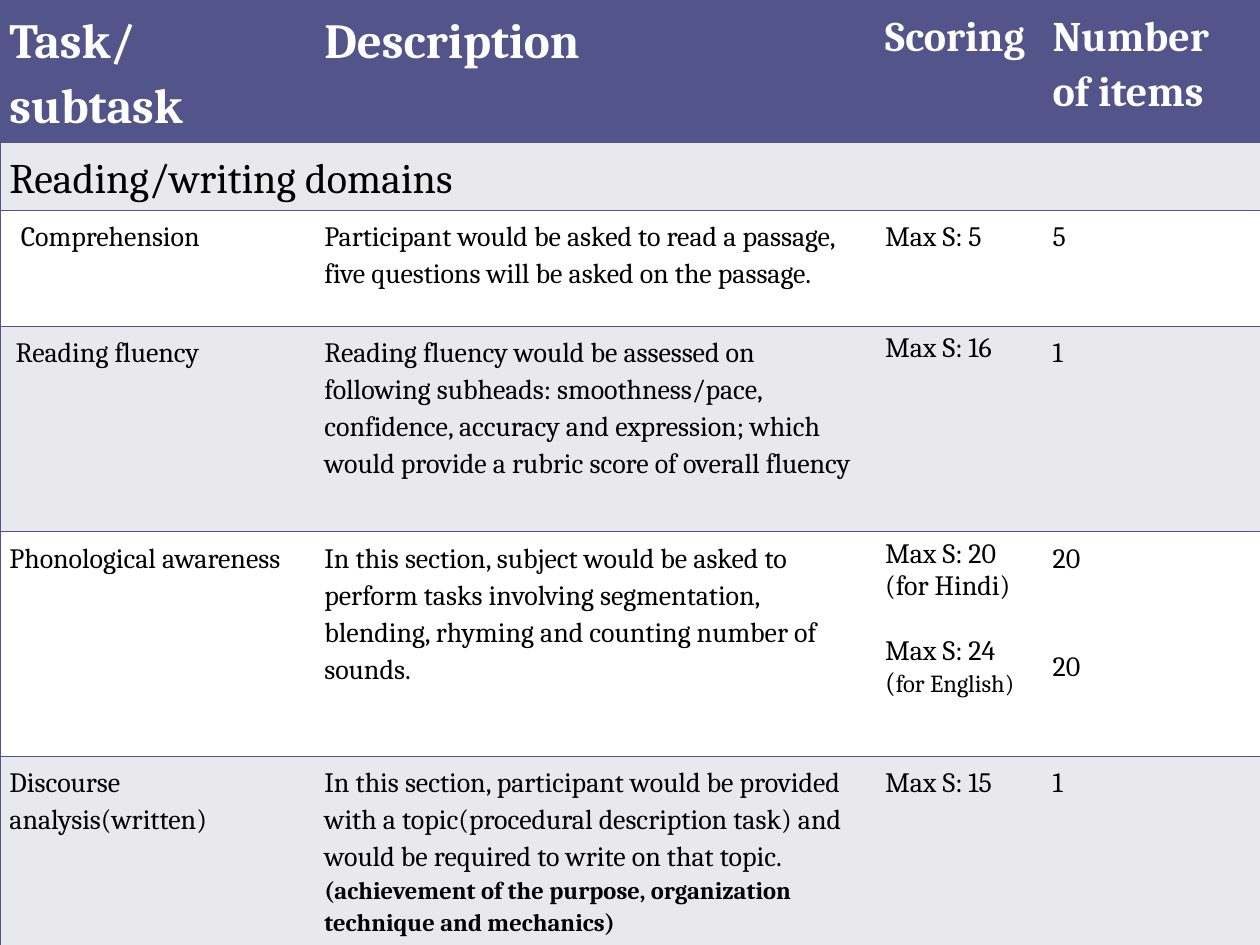
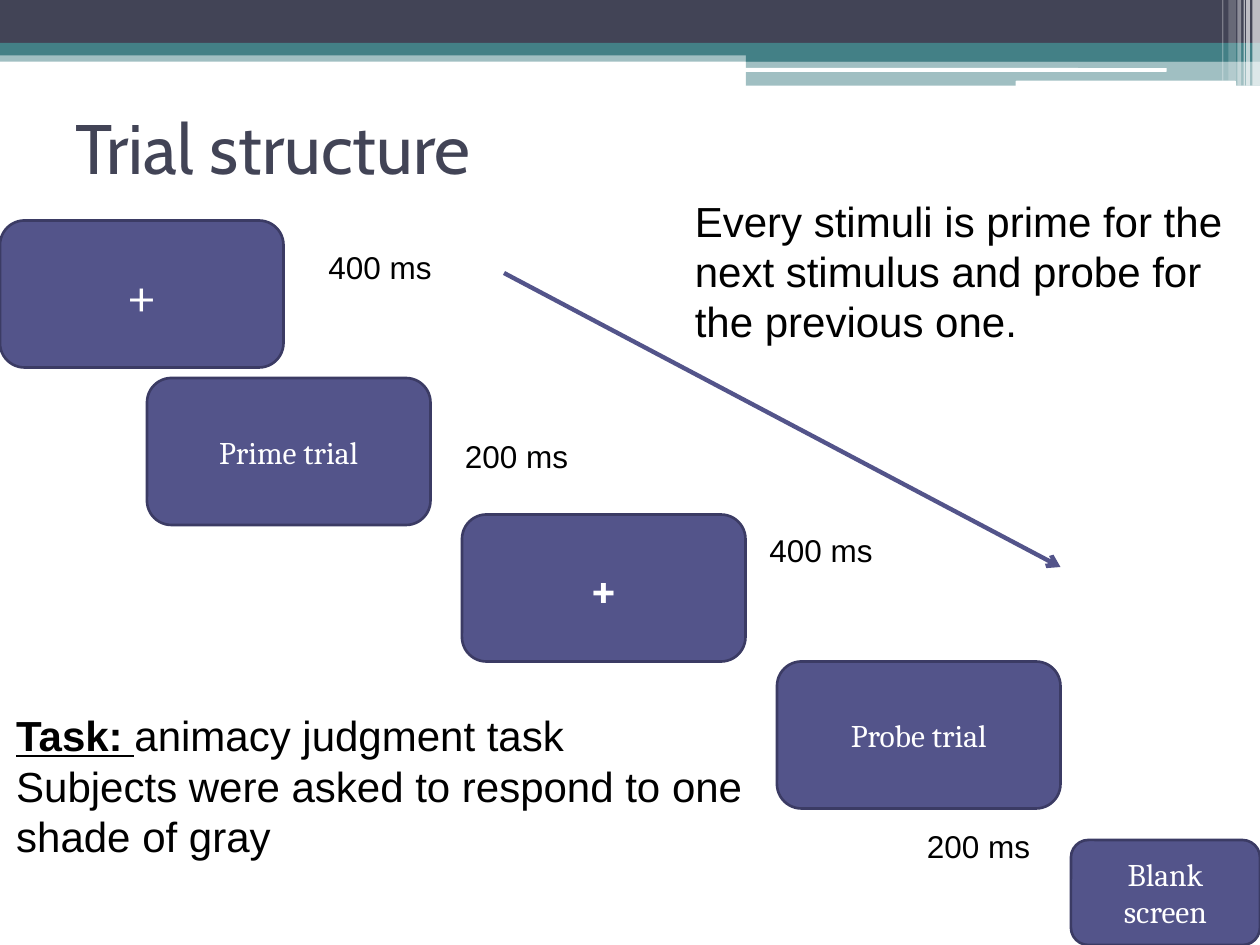
from collections import namedtuple
from lxml import etree
from pptx import Presentation
from pptx import util as u
from pptx.dml.color import RGBColor
from pptx.enum import shapes, text
from pptx.oxml import ns

INDIGO = RGBColor(0x53, 0x54, 0x8A)
INDIGO_DARK = RGBColor(0x3B, 0x3B, 0x64)
SLATE = RGBColor(0x42, 0x44, 0x56)
TEAL = RGBColor(0x43, 0x80, 0x86)
PALE = RGBColor(0xE9, 0xE9, 0xED)
WHITE = RGBColor(0xFF, 0xFF, 0xFF)
BLACK = RGBColor(0, 0, 0)
SERIF, SANS, TITLE_FONT = "Cambria", "Arial", "Cabin"

WIDTH, HEIGHT = u.Inches(10), u.Inches(7.5)
COLUMNS, ROWS = 120, 90
RECT = shapes.MSO_SHAPE.RECTANGLE
ROUND = shapes.MSO_SHAPE.ROUNDED_RECTANGLE

Span = namedtuple("Span", "text size bold underline", defaults=(None, False, False))
Para = namedtuple("Para", "spans line_spacing space_before", defaults=(1.0, 0))

COLUMN_WIDTHS = [2.5, 4.45, 1.33, 1.72]
ROW_HEIGHTS = [1.13, 0.54, 0.92, 1.63, 1.78, 1.76]
LOOSE = 1.15
CELL_MARGIN = u.Pt(5.4)
TASK_INDENTS = {2: 0.09, 3: 0.05}

HEADINGS = [
    [Para(["Task/"], LOOSE), Para(["subtask"], LOOSE)],
    "Description",
    [Para([Span("Scoring", 24, True)], LOOSE)],
    [Para([Span("Number of items", 24, True)], LOOSE)],
]
TASKS = [
    ["Comprehension",
     "Participant would be asked to read a passage, five questions will be asked on the passage.",
     "Max S: 5", "5"],
    ["Reading fluency",
     "Reading fluency would be assessed on following subheads: smoothness/pace, confidence, "
     "accuracy and expression; which would provide a rubric score of overall fluency",
     [Para(["Max S: 16"])], "1"],
    ["Phonological awareness",
     "In this section, subject would be asked to perform tasks involving segmentation, "
     "blending, rhyming and counting number of sounds.",
     [Para(["Max S: 20"]), Para(["(for Hindi)"]), Para(["Max S: 24"], 1.0, 18.5),
      Para(["(", Span("for English)", 14)])],
     [Para(["20"], LOOSE), Para(["20"], LOOSE, 41)]],
    ["Discourse analysis(written)",
     [Para(["In this section, participant would be provided with a topic(procedural "
            "description task) and would be required to write on that topic.",
            Span(" (achievement of the purpose, organization technique and mechanics)", 14, True)],
           LOOSE)],
     "Max S: 15", "1"],
]
TABLE_ROWS = [
    (HEADINGS, 28, True, WHITE, INDIGO),
    (["Reading/writing domains", "", "", ""], 24, False, BLACK, PALE),
] + [(cells, 16, False, BLACK, PALE if index % 2 else WHITE) for index, cells in enumerate(TASKS)]

BANDS = [
    (RECT, 0, 0.4, 10, 0.09, TEAL, 50),
    (RECT, 0, 0, 10, 0.34, SLATE, 100),
    (RECT, 0, 0.34, 10, 0.1, TEAL, 100),
    (RECT, 5.92, 0.39, 4.08, 0.1, TEAL, 100),
    (RECT, 5.92, 0.48, 4.08, 0.2, TEAL, 50),
    (ROUND, 5.91, 0.54, 3.35, 0.03, WHITE, 100),
    (ROUND, 8.06, 0.64, 1.75, 0.05, WHITE, 100),
] + [(RECT, left, 0, width, height, WHITE, opacity) for left, width, height, opacity in [
    (9.94, 0.06, 0.68, 65), (9.89, 0.03, 0.68, 65), (9.87, 0.01, 0.68, 60),
    (9.82, 0.03, 0.68, 40), (9.75, 0.06, 0.64, 20), (9.7, 0.01, 0.64, 30)]]

CARD_SIZE = (27, 14)
CARDS = [
    (0, 21, CARD_SIZE, Span("+", 32)),
    (14, 36, CARD_SIZE, Span("Prime trial", 18)),
    (44, 49, CARD_SIZE, Span("+", 28, True)),
    (74, 63, CARD_SIZE, Span("Probe trial", 18)),
    (102, 80, (18, 10), Span("Blank screen", 18)),
]
DURATIONS = [(30.1, 23, "400 ms"), (43.1, 41, "200 ms"),
             (72.1, 50, "400 ms"), (87.1, 78.15, "200 ms")]
TIME_ARROW = (48, 26, 101, 54)
PRIMING_NOTE = "Every stimuli is prime for the next stimulus and probe for the previous one."
TASK_NOTE = [
    Para([Span("Task: ", 24, True, True), "animacy judgment task"]),
    Para(["Subjects were asked to respond to one"]),
    Para(["shade of gray"]),
]


def grid(left, top, width, height):
    across, down = WIDTH / COLUMNS, HEIGHT / ROWS
    return [round(value) for value in (left * across, top * down, width * across, height * down)]


def write(frame, paras, font, size, color, bold=False, align=text.PP_ALIGN.LEFT):
    for index, item in enumerate(paras):
        para = frame.paragraphs[0] if index == 0 else frame.add_paragraph()
        para.alignment = align
        para.line_spacing = item.line_spacing
        para.space_before = u.Pt(item.space_before)
        for span in item.spans:
            if isinstance(span, str):
                span = Span(span, size, bold)
            run = para.add_run()
            run.text = span.text
            run.font.name = font
            run.font.size = u.Pt(span.size)
            run.font.bold = span.bold
            run.font.underline = span.underline
            run.font.color.rgb = color


def add_filled(page, kind, place, color, opacity=100):
    box = page.shapes.add_shape(kind, *place)
    box.shadow.inherit = False
    box.fill.solid()
    box.fill.fore_color.rgb = color
    box.line.fill.background()
    if opacity < 100:
        fill_color = box.fill._xPr.find(".//" + ns.qn("a:srgbClr"))
        etree.SubElement(fill_color, ns.qn("a:alpha"), val=str(opacity * 1000))
    return box


def add_text(page, place, paras, font, size, color, wrap=True):
    box = page.shapes.add_textbox(*grid(*place))
    box.text_frame.word_wrap = wrap
    write(box.text_frame, paras, font, size, color)
    return box


def add_bands_to_layout(page):
    layout_tree = page.slide_layout.shapes._spTree
    for kind, left, top, width, height, color, opacity in BANDS:
        place = [u.Inches(value) for value in (left, top, width, height)]
        band = add_filled(page, kind, place, color, opacity)
        layout_tree.append(band._element)
    for number, element in enumerate(layout_tree.iter(ns.qn("p:cNvPr")), 1):
        element.set("id", str(number))


def set_borders(cell, visible):
    properties = cell._tc.get_or_add_tcPr()
    for index, side in enumerate(["L", "R", "T", "B"]):
        line = etree.Element(ns.qn("a:ln" + side), w=str(u.Pt(0.45)))
        if side in visible:
            fill = etree.SubElement(line, ns.qn("a:solidFill"))
            etree.SubElement(fill, ns.qn("a:srgbClr"), val=str(INDIGO))
        else:
            etree.SubElement(line, ns.qn("a:noFill"))
        properties.insert(index, line)


def build_task_table(page):
    frame = page.shapes.add_table(len(TABLE_ROWS), len(COLUMN_WIDTHS), 0, 0,
                                  WIDTH, u.Inches(sum(ROW_HEIGHTS)))
    table = frame.table
    table.first_row = table.horz_banding = False
    for column, width in zip(table.columns, COLUMN_WIDTHS):
        column.width = u.Inches(width)
    for row, height in zip(table.rows, ROW_HEIGHTS):
        row.height = u.Inches(height)
    last = len(COLUMN_WIDTHS) - 1
    for row, (contents, size, bold, color, fill) in enumerate(TABLE_ROWS):
        for column, content in enumerate(contents):
            cell = table.cell(row, column)
            indent = TASK_INDENTS.get(row, 0) if column == 0 else 0
            cell.margin_left = CELL_MARGIN + u.Inches(indent)
            cell.margin_right = CELL_MARGIN
            cell.margin_top = cell.margin_bottom = u.Inches(0.05)
            cell.fill.solid()
            cell.fill.fore_color.rgb = fill
            set_borders(cell, "TB" + ("L" if column == 0 else "R" if column == last else ""))
            if content:
                paras = [Para([content], LOOSE)] if isinstance(content, str) else content
                write(cell.text_frame, paras, SERIF, size, color, bold)
    table.cell(1, 0).merge(table.cell(1, 1))


def add_card(page, left, top, size, label):
    card = add_filled(page, ROUND, grid(left, top, *size), INDIGO)
    card.line.color.rgb = INDIGO_DARK
    card.line.width = u.Pt(1.5)
    card.text_frame.word_wrap = True
    card.text_frame.vertical_anchor = text.MSO_ANCHOR.MIDDLE
    write(card.text_frame, [Para([label])], SERIF, label.size, WHITE,
          align=text.PP_ALIGN.CENTER)


def add_arrow(page, ends):
    arrow = page.shapes.add_connector(shapes.MSO_CONNECTOR.STRAIGHT, *grid(*ends))
    arrow.line.color.rgb = INDIGO
    arrow.line.width = u.Pt(2.5)
    etree.SubElement(arrow.line._get_or_add_ln(), ns.qn("a:tailEnd"), type="arrow")
    etree.SubElement(arrow._element.spPr, ns.qn("a:effectLst"))


def build_trial_structure(page):
    title = add_text(page, (6, 6.95, 108, 14), [Para(["Trial structure"])], TITLE_FONT, 40, SLATE)
    title.text_frame.vertical_anchor = text.MSO_ANCHOR.MIDDLE
    for card in CARDS:
        add_card(page, *card)
    add_arrow(page, TIME_ARROW)
    add_text(page, (65, 18, 55, 15.6), [Para([PRIMING_NOTE])], SANS, 24, BLACK)
    add_text(page, (0.36, 67, 72.6, 20.4), TASK_NOTE, SANS, 24, BLACK, wrap=False)
    for left, top, duration in DURATIONS:
        add_text(page, (left, top, 12.3, 4.8), [Para([duration])], SANS, 18, BLACK, wrap=False)


def main():
    deck = Presentation()
    deck.slide_width, deck.slide_height = WIDTH, HEIGHT
    blank = deck.slide_layouts[6]
    table_page, trial_page = [deck.slides.add_slide(blank) for _ in range(2)]
    add_bands_to_layout(table_page)
    build_task_table(table_page)
    build_trial_structure(trial_page)
    deck.save("out.pptx")


if __name__ == "__main__":
    main()
